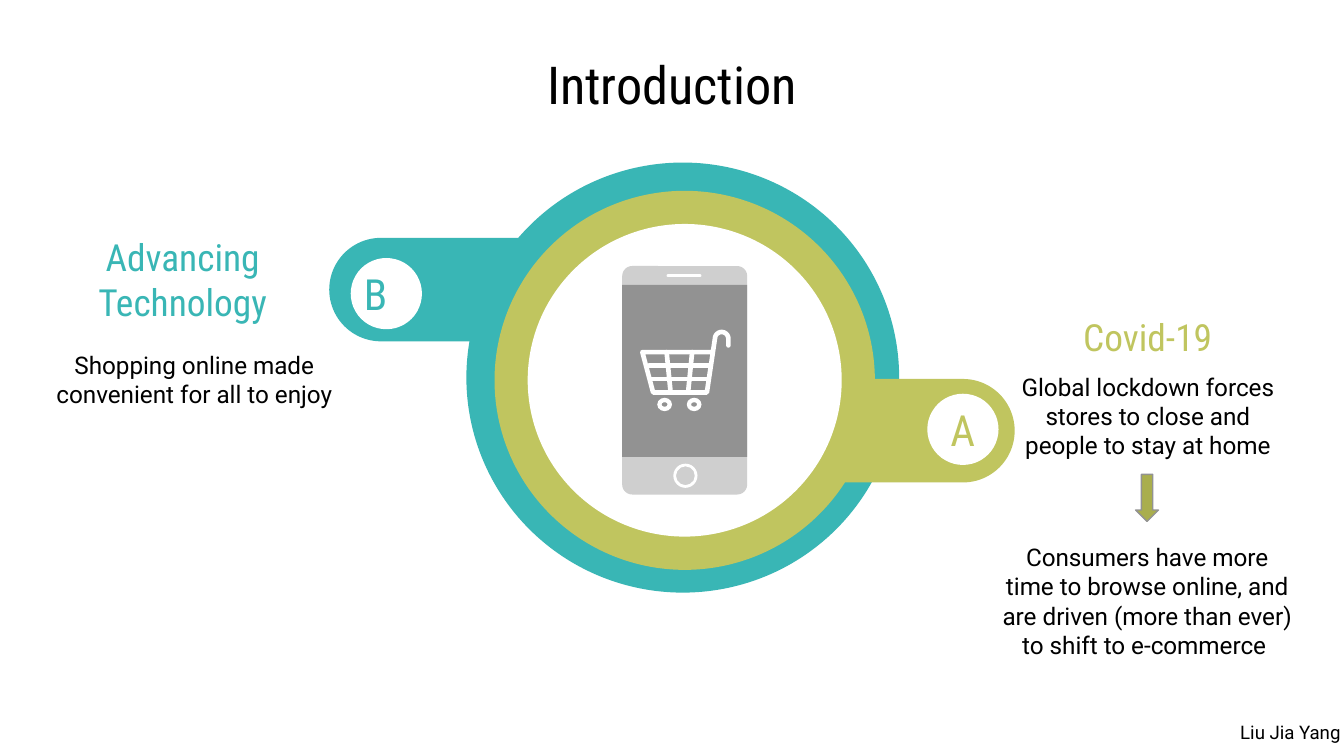
import math
import pptx
import pptx.dml.color
import pptx.enum.shapes
import pptx.enum.text
import pptx.util
from lxml import etree
from pptx.oxml.ns import qn
from pptx.util import Inches

SHAPES = pptx.enum.shapes.MSO_SHAPE
ALIGN = pptx.enum.text.PP_ALIGN
ANCHOR = pptx.enum.text.MSO_ANCHOR
TEAL, OLIVE, WHITE, BLACK = "39B6B5", "C0C55F", "FFFFFF", "000000"
LIGHT_GREY, DARK_GREY = "CFCFCF", "929292"
HEADING_FONT, BODY_FONT = "Roboto Condensed", "Roboto"


def color(hex_value):
    return pptx.dml.color.RGBColor.from_string(hex_value)


def write_text(shape, text, size, font_name, hex_value, align=ALIGN.CENTER):
    paragraph = shape.text_frame.paragraphs[0]
    paragraph.text = text
    paragraph.alignment = align
    paragraph.font.size = pptx.util.Pt(size)
    paragraph.font.name = font_name
    paragraph.font.color.rgb = color(hex_value)


def add_text(slide, box, text, size, font_name, hex_value,
             align=ALIGN.CENTER, anchor=ANCHOR.MIDDLE):
    shape = slide.shapes.add_textbox(*map(Inches, box))
    frame = shape.text_frame
    frame.word_wrap = True
    frame.vertical_anchor = anchor
    frame.margin_left = frame.margin_right = Inches(0.1)
    frame.margin_top = frame.margin_bottom = Inches(0.1)
    write_text(shape, text, size, font_name, hex_value, align)
    return shape


def add_filled(slide, preset, box, fill, adjustment=None):
    shape = slide.shapes.add_shape(preset, *map(Inches, box))
    shape.shadow.inherit = False
    shape.fill.solid()
    shape.fill.fore_color.rgb = color(fill)
    shape.line.fill.background()
    if adjustment is not None:
        shape.adjustments[0] = adjustment
    return shape


def style_stroke(shape, hex_value, width):
    """Give a shape or connector a plain line with round ends."""
    shape.line.color.rgb = color(hex_value)
    shape.line.width = pptx.util.Pt(width)
    shape.line._get_or_add_ln().set("cap", "rnd")


def add_ring(slide, box, fill, tab_box):
    """Disc with a round-ended tab reaching out of its side."""
    add_filled(slide, SHAPES.ROUNDED_RECTANGLE, tab_box, fill, 0.5)
    add_filled(slide, SHAPES.OVAL, box, fill)


def add_letter_badge(slide, box, letter, hex_value, right_margin=0):
    badge = add_filled(slide, SHAPES.OVAL, box, WHITE)
    frame = badge.text_frame
    frame.word_wrap = False
    frame.vertical_anchor = ANCHOR.MIDDLE
    frame.margin_left = frame.margin_top = frame.margin_bottom = 0
    frame.margin_right = Inches(right_margin)
    write_text(badge, letter, 23, HEADING_FONT, hex_value)


def add_cart(slide, box):
    left, top, width, height = box
    stroke = 2.5

    # Basket frame running up into the hooked handle
    hook = [(0.61 + 0.05 * math.cos(math.radians(angle)),
             0.06 - 0.05 * math.sin(math.radians(angle)))
            for angle in range(180, -1, -15)]
    frame_points = [(0.53, 0.16), (0.02, 0.16), (0.1, 0.46), (0.5, 0.46),
                    *hook, (0.66, 0.11)]
    points = [(Inches(left + x), Inches(top + y)) for x, y in frame_points]
    builder = slide.shapes.build_freeform(*points[0], scale=1.0)
    builder.add_line_segments(points[1:], close=False)
    basket = builder.convert_to_shape()
    basket.shadow.inherit = False
    basket.fill.background()
    style_stroke(basket, WHITE, stroke)

    # Wires of the basket
    wires = [(0.39, 0.16, 0.36, 0.46), (0.2, 0.16, 0.23, 0.46),
             (0.07, 0.26, 0.51, 0.26), (0.08, 0.36, 0.5, 0.36)]
    for x1, y1, x2, y2 in wires:
        wire = slide.shapes.add_connector(
            pptx.enum.shapes.MSO_CONNECTOR.STRAIGHT,
            Inches(left + x1), Inches(top + y1),
            Inches(left + x2), Inches(top + y2))
        style_stroke(wire, WHITE, stroke)
        etree.SubElement(wire._element.spPr, qn("a:effectLst"))

    # Wheels
    for x in (0.13, 0.35):
        add_filled(slide, SHAPES.DONUT,
                   (left + x, top + height - 0.1, 0.11, 0.1), WHITE, 0.33)


def add_phone(slide, box):
    left, top, width, height = box
    add_filled(slide, SHAPES.ROUNDED_RECTANGLE, box, LIGHT_GREY, 0.08)
    add_filled(slide, SHAPES.RECTANGLE,
               (left, top + 0.14, width, 1.28), DARK_GREY)
    add_cart(slide, (left + 0.13, top + 0.48, 0.67, 0.6))
    # Speaker slot and home button
    add_filled(slide, SHAPES.ROUNDED_RECTANGLE,
               (left + 0.33, top + 0.06, 0.26, 0.02), WHITE, 0.5)
    add_filled(slide, SHAPES.DONUT,
               (left + 0.38, top + 1.47, 0.18, 0.18), WHITE, 0.11)


def add_diagram(slide, box):
    left, top, width, height = box
    tab_height = 0.77
    badge = 0.53
    # Teal ring B
    add_ring(slide, (left + 1.02, top, 3.22, height), TEAL,
             (left, top + 0.56, 2, tab_height))
    add_letter_badge(slide, (left + 0.16, top + 0.71, badge, badge),
                     "B", TEAL, right_margin=0.16)
    # Olive ring A
    add_ring(slide, (left + 1.23, top + 0.21, 2.83, 2.82), OLIVE,
             (left + 3.1, top + 1.61, 2, tab_height))
    add_letter_badge(slide, (left + 4.45, top + 1.72, badge, badge), "A", OLIVE)
    # White centre with the phone
    centre = add_filled(slide, SHAPES.OVAL,
                        (left + 1.56, top + 0.54, 2.17, 2.16), WHITE)
    style_stroke(centre, WHITE, 12)
    add_phone(slide, (left + 2.18, top + 0.77, 0.93, 1.7))


def add_technology(slide, box):
    left, top, width, height = box
    add_text(slide, (left, top, 2.2, 0.31), "Advancing Technology",
             20, HEADING_FONT, TEAL)
    add_text(slide, (left, top + 0.46, width, 0.89),
             "Shopping online made convenient for all to enjoy",
             13, BODY_FONT, BLACK)


def add_covid(slide, box):
    left, top, width, height = box
    add_text(slide, (left + 0.09, top, 2.2, 0.31), "Covid-19",
             20, HEADING_FONT, OLIVE)
    add_text(slide, (left + 0.09, top + 0.3, 2.2, 0.89),
             "Global lockdown forces stores to close and people to stay at home",
             13, BODY_FONT, BLACK)
    arrow = add_filled(slide, SHAPES.DOWN_ARROW,
                       (left + 1.1, top + 1.18, 0.17, 0.35), "A9AE4D")
    arrow.line.color.rgb = color(DARK_GREY)
    arrow.line.width = pptx.util.Pt(0.75)
    add_text(slide, (left, top + 1.53, width, 1.18),
             "Consumers have more time to browse online, and are driven "
             "(more than ever) to shift to e-commerce ",
             13, BODY_FONT, BLACK)


def main():
    presentation = pptx.Presentation()
    # Widescreen, 16 to 9
    presentation.slide_width = Inches(10)
    presentation.slide_height = Inches(10) * 9 // 16
    slide = presentation.slides.add_slide(presentation.slide_layouts[6])

    add_text(slide, (2.75, 0.45, 4.5, 0.35), "Introduction",
             28, HEADING_FONT, BLACK)
    add_technology(slide, (0.26, 1.92, 2.37, 1.35))
    add_diagram(slide, (2.45, 1.21, 5.1, 3.2))
    add_covid(slide, (7.35, 2.35, 2.37, 2.71))
    author = add_text(slide, (9.13, 5.28, 0.87, 0.34), "Liu Jia Yang", 10,
                      BODY_FONT, BLACK, ALIGN.LEFT, ANCHOR.TOP)
    author.text_frame.margin_right = 0
    author.text_frame.word_wrap = False
    presentation.save("out.pptx")


if __name__ == "__main__":
    main()
